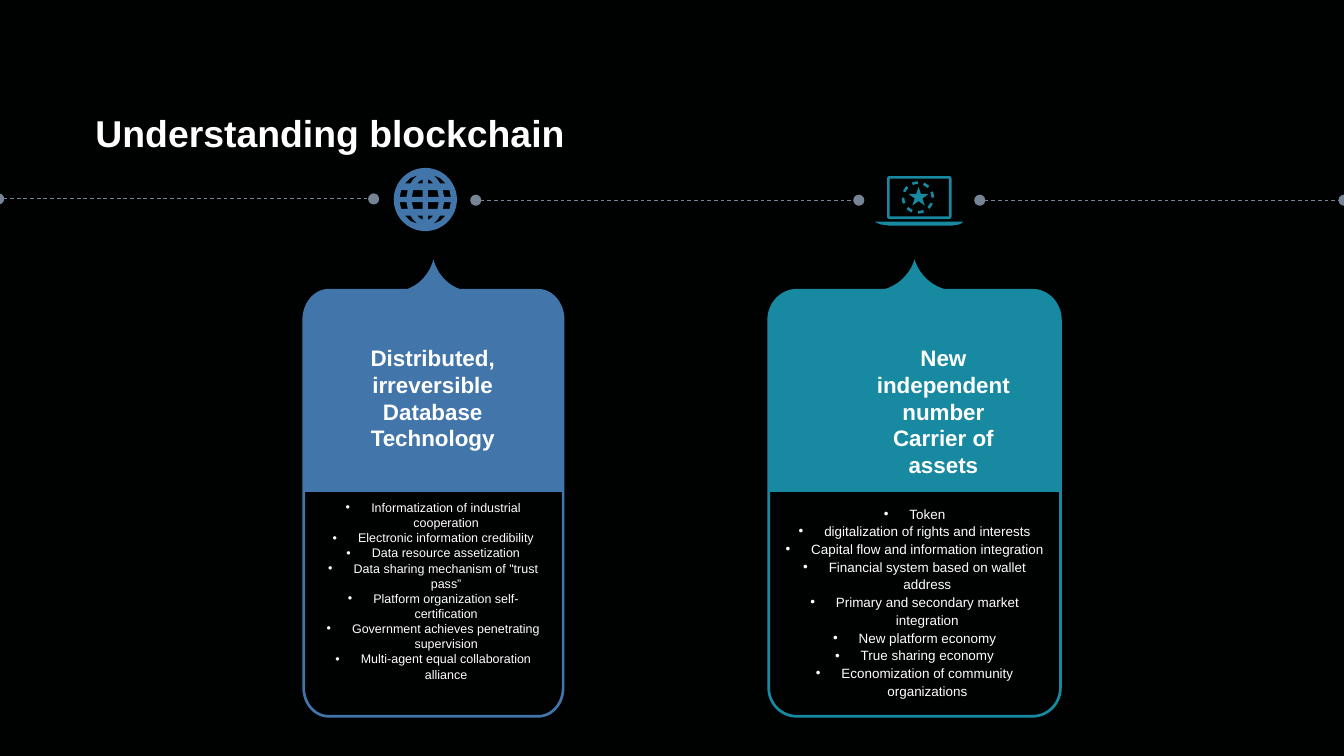
from math import cos, radians, sin
from itertools import product

from lxml.etree import SubElement
from pptx import Presentation
from pptx.dml.color import RGBColor
from pptx.enum.dml import MSO_LINE
from pptx.enum.shapes import MSO_CONNECTOR, MSO_SHAPE
from pptx.enum.text import MSO_ANCHOR, MSO_AUTO_SIZE, PP_ALIGN
from pptx.oxml.ns import qn
from pptx.util import Inches, Pt

THEME = {
    "font": "Arial",
    "background": RGBColor.from_string("000101"),
    "text": RGBColor.from_string("FFFFFF"),
    "timeline": RGBColor.from_string("778495"),
    "blue": RGBColor.from_string("4276AA"),
    "teal": RGBColor.from_string("178AA1"),
    "title_size": 20,
    "heading_size": 12,
    "blue_points_size": 6.75,
    "teal_points_size": 7.2,
}

TITLE = "Understanding blockchain"
TIMELINE = [(-0.01, 2.78, 1.48), (7.29, 10, 1.49), (3.54, 6.39, 1.49)]
CARDS = [
    {
        "left": 2.25, "width": 1.95, "color": "blue",
        "spacing": 1.0, "inset": 1.79, "heading_box": (2.36, 2.51, 1.72, 0.81),
        "heading": ["Distributed, irreversible", "Database Technology"],
        "points": [
            "Informatization of industrial cooperation",
            "Electronic information credibility",
            "Data resource assetization",
            "Data sharing mechanism of \"trust pass”",
            "Platform organization self-certification",
            "Government achieves penetrating supervision",
            "Multi-agent equal collaboration alliance",
        ],
    },
    {
        "left": 5.71, "width": 2.19, "color": "teal",
        "spacing": 1.1, "inset": 1.82, "heading_box": (6.27, 2.51, 1.5, 0.8),
        "heading": ["New independent", "number", "Carrier of assets"],
        "points": [
            "Token",
            "digitalization of rights and interests",
            "Capital flow and information integration",
            "Financial system based on wallet address",
            "Primary and secondary market integration",
            "New platform economy",
            "True sharing economy",
            "Economization of community organizations",
        ],
    },
]
CARD_TIP, CARD_TOP, CARD_DIVIDER, CARD_BOTTOM = 1.93, 2.15, 3.66, 5.34
CARD_BORDER = 0.02

GLOBE_LEFT, GLOBE_TOP, GLOBE_DIAMETER = 2.93, 1.25, 0.47
GLOBE_WINDOWS = [
    [(0.02, -0.15), (0.04, -0.14), (0.06, -0.12), (0.02, -0.12)],
    [(0.06, -0.18), (0.11, -0.16), (0.15, -0.12), (0.11, -0.12), (0.09, -0.15)],
    [(0.02, -0.07), (0.09, -0.07), (0.1, -0.02), (0.02, -0.02)],
    [(0.13, -0.07), (0.18, -0.07), (0.19, -0.02), (0.14, -0.02)],
]
RING_CENTER, RING_OUTER, RING_INNER = (6.83, 1.47), 0.12, 0.1
STAR_BOX = (6.76, 1.39, 0.15, 0.14)
LAPTOP_BASE = [(6.51, 1.65), (6.55, 1.67), (6.62, 1.68), (7.08, 1.68), (7.14, 1.67), (7.17, 1.65)]
SCREEN = (6.6, 1.31, 7.08, 1.63)
SCREEN_OPENING = (6.62, 1.33, 7.06, 1.61)


def arc(center, rx, ry, start, end, steps=16):
    angles = [radians(start + (end - start) * i / steps) for i in range(steps + 1)]
    return [(center[0] + rx * cos(a), center[1] + ry * sin(a)) for a in angles]


def bezier(a, b, c, d, steps=12):
    return [
        tuple((1 - t) ** 3 * p + 3 * (1 - t) ** 2 * t * q + 3 * (1 - t) * t * t * r + t ** 3 * s
              for p, q, r, s in zip(a, b, c, d))
        for t in (i / steps for i in range(steps + 1))
    ]


def rounded(left, top, right, bottom, radius):
    corners = [(right - radius, top + radius, 270), (right - radius, bottom - radius, 0),
               (left + radius, bottom - radius, 90), (left + radius, top + radius, 180)]
    return [p for x, y, start in corners
            for p in arc((x, y), radius, radius, start, start + 90, 4)]


def paint(shape, color):
    shape.shadow.inherit = False
    shape.fill.solid()
    shape.fill.fore_color.rgb = THEME[color]
    shape.line.fill.background()
    return shape


def draw_outline(shapes, contours, color):
    contours = [[(Inches(x), Inches(y)) for x, y in contour] for contour in contours]
    builder = shapes.build_freeform(*contours[0][0], scale=1.0)
    builder.add_line_segments(contours[0][1:], close=True)
    for contour in contours[1:]:
        builder.move_to(*contour[0])
        builder.add_line_segments(contour[1:], close=True)
    return paint(builder.convert_to_shape(), color)


def write(frame, lines, size, bold=False, align=PP_ALIGN.LEFT, spacing=1.0, bullets=False):
    for i, line in enumerate(lines):
        paragraph = frame.paragraphs[0] if i == 0 else frame.add_paragraph()
        paragraph.text = line
        paragraph.alignment = align
        paragraph.line_spacing = spacing
        if bullets:
            properties = paragraph._p.get_or_add_pPr()
            properties.set("marL", str(Inches(0.19)))
            properties.set("indent", str(Inches(-0.19)))
            SubElement(properties, qn("a:buFont")).set("typeface", THEME["font"])
            SubElement(properties, qn("a:buChar")).set("char", "•")
        font = paragraph.runs[0].font
        for name, value in {"name": THEME["font"], "size": Pt(size), "bold": bold}.items():
            setattr(font, name, value)
        font.color.rgb = THEME["text"]


def set_frame(frame, left, top, right, bottom, anchor, wrap=True, fit=MSO_AUTO_SIZE.NONE):
    values = {"margin_left": Inches(left), "margin_top": Inches(top),
              "margin_right": Inches(right), "margin_bottom": Inches(bottom),
              "vertical_anchor": anchor, "word_wrap": wrap, "auto_size": fit}
    for name, value in values.items():
        setattr(frame, name, value)


def draw_card(shapes, card):
    left, width = card["left"], card["width"]
    right, middle = left + width, left + width / 2
    corner, tip = width * 0.1, width * 0.1
    inner, low = corner - CARD_BORDER, CARD_BOTTOM - 0.22
    high = CARD_TOP + 0.23
    shoulder = bezier((tip, CARD_TOP), (tip * 0.55, 2.12), (tip * 0.15, 2.04), (0, CARD_TIP))
    outside = (
        [(middle + x, y) for x, y in shoulder]
        + [(middle - x, y) for x, y in reversed(shoulder)]
        + arc((left + corner, high), corner, 0.23, 270, 180)
        + arc((left + corner, low), corner, 0.22, 180, 90)
        + arc((right - corner, low), corner, 0.22, 90, 0)
        + arc((right - corner, high), corner, 0.23, 0, -90)
    )
    opening = (
        [(left + CARD_BORDER, CARD_DIVIDER), (right - CARD_BORDER, CARD_DIVIDER)]
        + arc((right - corner, low), inner, 0.2, 0, 90)
        + arc((left + corner, low), inner, 0.2, 90, 180)
    )
    frame = draw_outline(shapes, [outside, opening], card["color"]).text_frame
    set_frame(frame, 0.12, card["inset"], 0.12, 0.05, MSO_ANCHOR.TOP)
    write(frame, card["points"], THEME[card["color"] + "_points_size"],
          align=PP_ALIGN.CENTER, spacing=card["spacing"], bullets=True)


def draw_globe(shapes):
    radius = GLOBE_DIAMETER / 2
    x, y = GLOBE_LEFT + radius, GLOBE_TOP + radius
    windows = [[(x + sx * dx, y + sy * dy) for dx, dy in window]
               for window in GLOBE_WINDOWS for sx, sy in product((1, -1), repeat=2)]
    draw_outline(shapes, [arc((x, y), radius, radius, 0, 360, 64)] + windows, "blue")


def draw_laptop(shapes):
    laptop = shapes.add_group_shape().shapes
    draw_outline(laptop, [LAPTOP_BASE], "teal")
    paint(laptop.add_shape(MSO_SHAPE.STAR_5_POINT, *map(Inches, STAR_BOX)), "teal")
    for end in range(0, 360, 45):
        start = end - 22.5
        dash = (arc(RING_CENTER, RING_OUTER, RING_OUTER, start, end, 4)
                + arc(RING_CENTER, RING_INNER, RING_INNER, end, start, 4))
        draw_outline(laptop, [dash], "teal")
    draw_outline(laptop, [rounded(*SCREEN, 0.02), rounded(*SCREEN_OPENING, 0)], "teal")


def draw_timeline(shapes):
    for start, end, y in TIMELINE:
        segment = shapes.add_connector(MSO_CONNECTOR.STRAIGHT, *map(Inches, (start, y, end, y)))
        segment.line.color.rgb = THEME["timeline"]
        segment.line.width = Pt(0.5)
        segment.line.dash_style = MSO_LINE.DASH
        for tag in ("a:headEnd", "a:tailEnd"):
            SubElement(segment.line._get_or_add_ln(), qn(tag)).set("type", "oval")
        SubElement(segment._element.spPr, qn("a:effectLst"))


def main():
    deck = Presentation()
    deck.slide_width, deck.slide_height = Inches(10), Inches(10 * 9 / 16)
    slide = deck.slides.add_slide(deck.slide_layouts[6])
    slide.background.fill.solid()
    slide.background.fill.fore_color.rgb = THEME["background"]
    shapes = slide.shapes

    title = shapes.add_textbox(*map(Inches, (0.68, 0.77, 5.68, 0.48))).text_frame
    set_frame(title, 0.03, 0.02, 0.03, 0.02, MSO_ANCHOR.MIDDLE)
    write(title, [TITLE], THEME["title_size"], bold=True, spacing=0.9)

    draw_timeline(shapes)
    for card in CARDS:
        draw_card(shapes, card)
    draw_globe(shapes)
    draw_laptop(shapes)
    for card in CARDS:
        heading = shapes.add_textbox(*map(Inches, card["heading_box"])).text_frame
        set_frame(heading, 0.1, 0.05, 0.1, 0.05, MSO_ANCHOR.TOP,
                  wrap=False, fit=MSO_AUTO_SIZE.SHAPE_TO_FIT_TEXT)
        write(heading, card["heading"], THEME["heading_size"], bold=True, align=PP_ALIGN.CENTER)
    deck.save("out.pptx")


if __name__ == "__main__":
    main()
